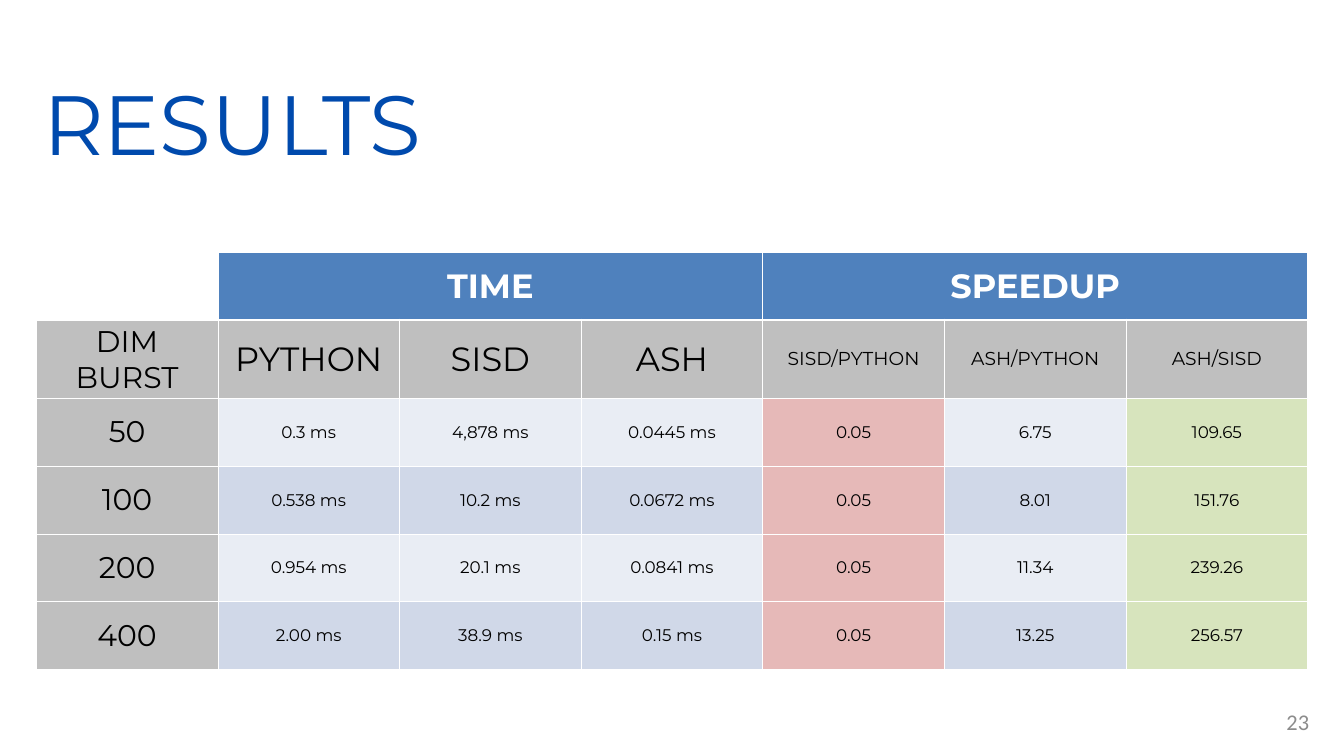
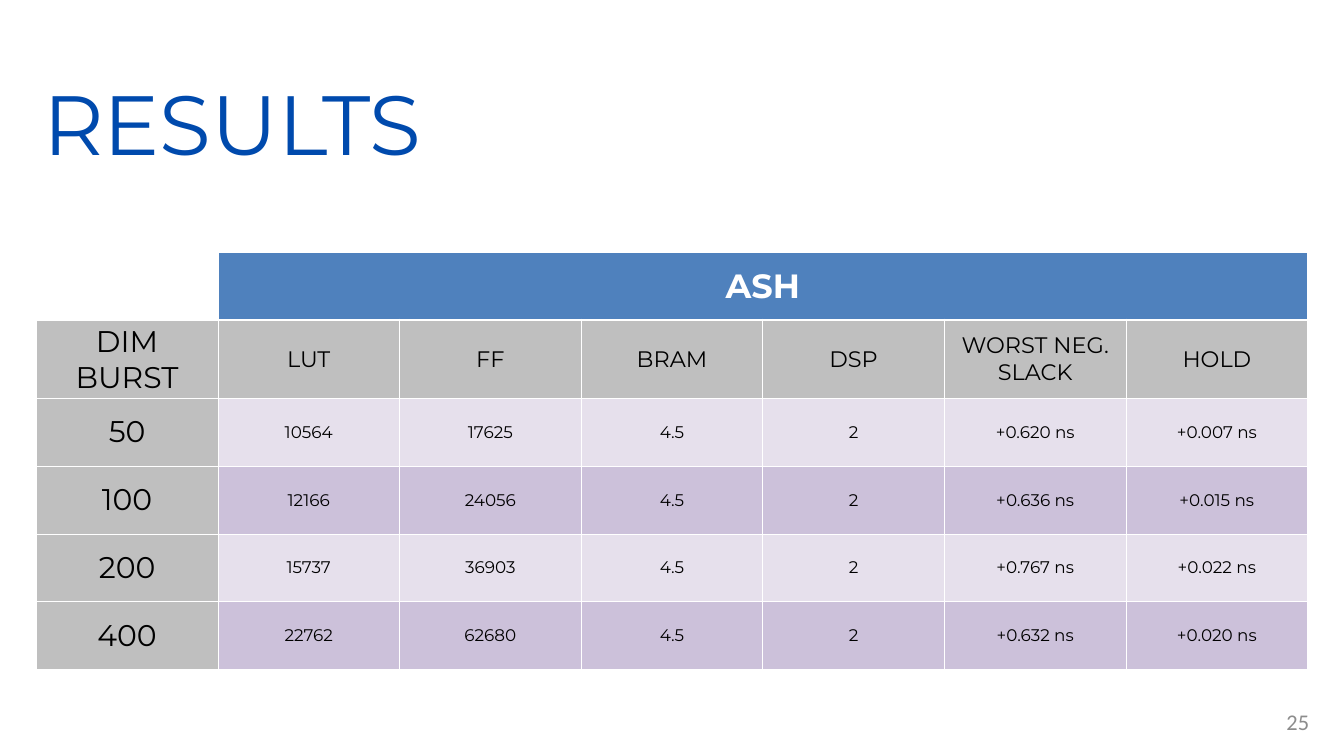
from pptx import Presentation
from pptx.dml.color import RGBColor
from pptx.enum.text import MSO_ANCHOR, MSO_AUTO_SIZE, PP_ALIGN
from pptx.oxml import parse_xml
from pptx.oxml.ns import nsdecls
from pptx.util import Inches, Pt

WHITE, BLACK, GREY = "FFFFFF", "000000", "BFBFBF"
NAVY, BLUE, FAINT = "004AAD", "4F81BD", "8C8C8C"
ROSE, LIME = "E6B9B8", "D7E4BD"
EDGE, TOP, COL = 0.54, 3.76, 2.703
ROWS = [1, 1, 1.01, 1.01, 1.01, 1.01]
SIDES = ["lnL", "lnR", "lnT", "lnB"]
SIZES = [50, 100, 200, 400]


def tint(code):
    return RGBColor.from_string(code)


def write(frame, text, size=18, color=BLACK, font="Montserrat", bold=False,
          align=PP_ALIGN.CENTER, lead=None):
    frame.word_wrap = True
    para = frame.paragraphs[0]
    para.alignment = align
    if lead:
        para.line_spacing = Pt(lead)
    run = para.add_run()
    run.text = text
    run.font.size = Pt(size)
    run.font.name = font
    run.font.bold = bold
    run.font.color.rgb = tint(color)


PAGES = [
    {
        "page": "23",
        "rise": 1.27,
        "groups": [("TIME", 1, 3), ("SPEEDUP", 4, 6)],
        "heads": ["PYTHON", "SISD", "ASH", "SISD/PYTHON", "ASH/PYTHON", "ASH/SISD"],
        "sizes": [36, 36, 36, 20, 20, 20],
        "bands": ["E9EDF4", "D0D8E8"],
        "marks": {4: ROSE, 6: LIME},
        "data": [
            ["0.3 ms", "4,878 ms", "0.0445 ms", "0.05", "6.75", "109.65"],
            ["0.538 ms", "10.2 ms", "0.0672 ms", "0.05", "8.01", "151.76"],
            ["0.954 ms", "20.1 ms", "0.0841 ms", "0.05", "11.34", "239.26"],
            ["2.00 ms", "38.9 ms", "0.15 ms", "0.05", "13.25", "256.57"],
        ],
    },
    {
        "page": "25",
        "rise": 1.26,
        "groups": [("ASH", 1, 6)],
        "heads": ["LUT", "FF", "BRAM", "DSP", "WORST NEG. SLACK", "HOLD"],
        "sizes": [24] * 6,
        "bands": ["E6E0EC", "CCC1DA"],
        "marks": {},
        "data": [
            ["10564", "17625", "4.5", "2", "+0.620 ns", "+0.007 ns"],
            ["12166", "24056", "4.5", "2", "+0.636 ns", "+0.015 ns"],
            ["15737", "36903", "4.5", "2", "+0.767 ns", "+0.022 ns"],
            ["22762", "62680", "4.5", "2", "+0.632 ns", "+0.020 ns"],
        ],
    },
]

deck = Presentation()
deck.slide_width, deck.slide_height = Inches(20), Inches(11.25)

for page in PAGES:
    slide = deck.slides.add_slide(deck.slide_layouts[5])

    box = slide.shapes.add_textbox(Inches(17.25), Inches(10.54), Inches(2.33), Inches(0.4))
    box.text_frame.vertical_anchor = MSO_ANCHOR.MIDDLE
    write(box.text_frame, page["page"], size=24, color=FAINT, font="Calibri",
          align=PP_ALIGN.RIGHT)

    title = slide.shapes.title
    title.left, title.top = Inches(EDGE), Inches(page["rise"])
    title.width, title.height = Inches(6.67), Inches(1.4)
    title.text_frame.vertical_anchor = MSO_ANCHOR.TOP
    title.text_frame.auto_size = MSO_AUTO_SIZE.SHAPE_TO_FIT_TEXT
    write(title.text_frame, "RESULTS", size=90, color=NAVY, align=PP_ALIGN.LEFT, lead=90)

    grid = slide.shapes.add_table(len(ROWS), 7, Inches(EDGE), Inches(TOP),
                                  Inches(7 * COL), Inches(sum(ROWS))).table
    grid.first_row = grid.horz_banding = False
    for col in grid.columns:
        col.width = Inches(COL)
    for row, high in zip(grid.rows, ROWS):
        row.height = Inches(high)

    for r in range(len(ROWS)):
        for c in range(7):
            cell = grid.cell(r, c)
            cell.vertical_anchor = MSO_ANCHOR.MIDDLE
            if r == 0:
                fill = BLUE if c else WHITE
            elif r == 1 or c == 0:
                fill = GREY
            else:
                fill = page["marks"].get(c, page["bands"][r % 2])
            cell.fill.solid()
            cell.fill.fore_color.rgb = tint(fill)
            props = cell._tc.get_or_add_tcPr()
            for i, side in enumerate(SIDES):
                thick = 3 if (r, side) in [(0, "lnB"), (1, "lnT")] else 1
                props.insert(i, parse_xml(
                    f'<a:{side} {nsdecls("a")} w="{Pt(thick)}"><a:solidFill>'
                    f'<a:srgbClr val="{WHITE}"/></a:solidFill></a:{side}>'))

    for text, first, last in page["groups"]:
        grid.cell(0, first).merge(grid.cell(0, last))
        write(grid.cell(0, first).text_frame, text, size=36, color=WHITE, bold=True)
    for r, text in enumerate(["DIM BURST", *map(str, SIZES)], 1):
        write(grid.cell(r, 0).text_frame, text, size=32)
    for c, (text, size) in enumerate(zip(page["heads"], page["sizes"]), 1):
        write(grid.cell(1, c).text_frame, text, size=size)
    for r, line in enumerate(page["data"], 2):
        for c, text in enumerate(line, 1):
            write(grid.cell(r, c).text_frame, text)

deck.save("out.pptx")
